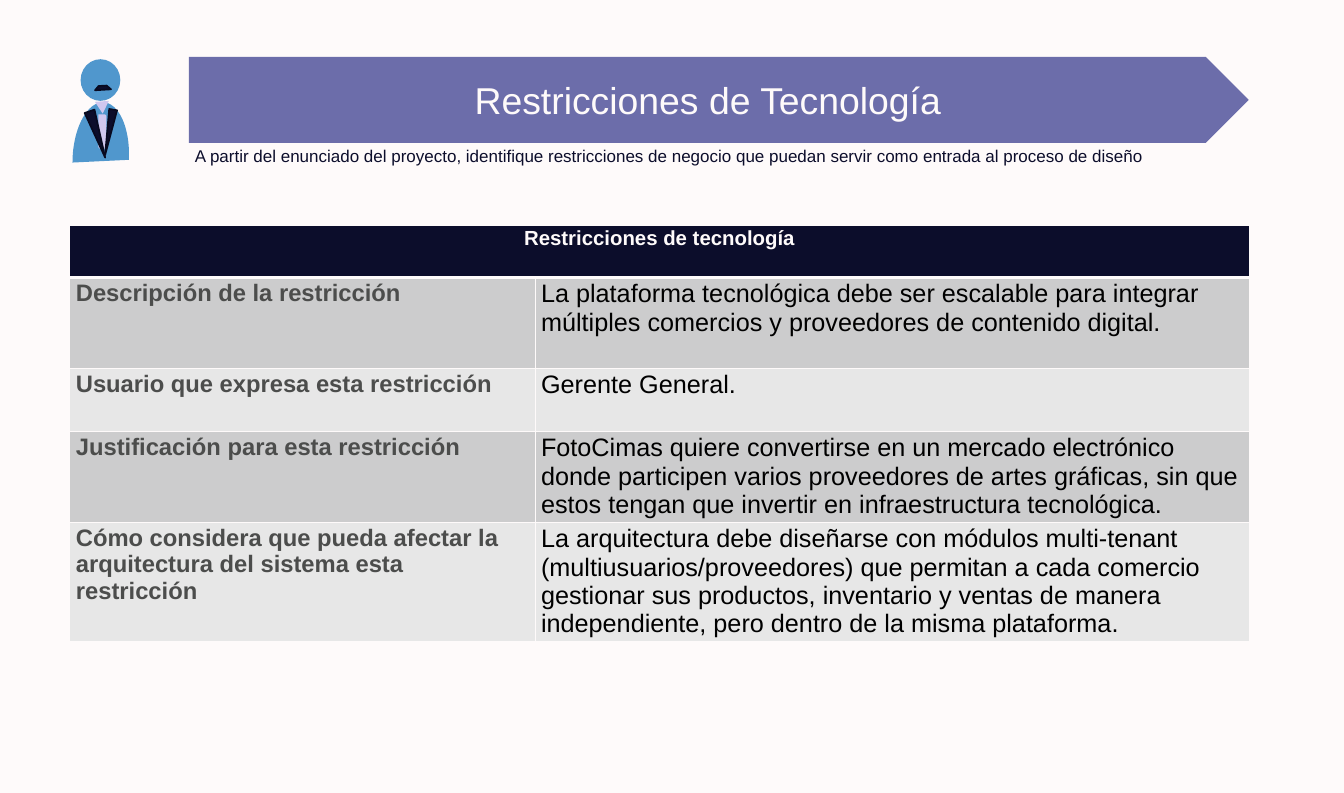
import dataclasses

import lxml.etree
import pptx
import pptx.dml.color
import pptx.enum.shapes
import pptx.enum.text
import pptx.oxml
import pptx.oxml.ns
import pptx.util

Cm = pptx.util.Cm
Pt = pptx.util.Pt
SHAPE = pptx.enum.shapes.MSO_SHAPE
ALIGN = pptx.enum.text.PP_ALIGN
ANCHOR = pptx.enum.text.MSO_ANCHOR
qn = pptx.oxml.ns.qn


@dataclasses.dataclass(frozen=True)
class Theme:
    font: str = "Arial"
    paper: str = "FEFAFA"
    navy: str = "0C0D2B"
    outline: str = "08091F"
    banner: str = "252884"
    banner_alpha: int = 67
    skin: str = "5097CD"
    shirt: str = "D0C7EF"
    label: str = "4C4D4C"
    answer: str = "000000"
    bands: tuple = ("CCCCCD", "E7E7E7")
    title_size: float = 44
    hint_size: float = 20
    header_size: float = 24
    label_size: float = 28
    answer_size: float = 29.7
    rule: float = 0.96
    header_rule: float = 3


THEME = Theme()

RESTRICTION = (
    ("Descripción de la restricción",
     "La plataforma tecnológica debe ser escalable para integrar múltiples "
     "comercios y proveedores de contenido digital."),
    ("Usuario que expresa esta restricción", "Gerente General."),
    ("Justificación para esta restricción",
     "FotoCimas quiere convertirse en un mercado electrónico donde participen "
     "varios proveedores de artes gráficas, sin que estos tengan que invertir "
     "en infraestructura tecnológica."),
    ("Cómo considera que pueda afectar la arquitectura del sistema esta restricción",
     "La arquitectura debe diseñarse con módulos multi-tenant "
     "(multiusuarios/proveedores) que permitan a cada comercio gestionar sus "
     "productos, inventario y ventas de manera independiente, pero dentro de "
     "la misma plataforma."),
)


def rgb(color):
    return pptx.dml.color.RGBColor.from_string(color)


def write(frame, text, size, color, bold=False, align=ALIGN.LEFT):
    frame.word_wrap = True
    paragraph = frame.paragraphs[0]
    paragraph.text = text
    paragraph.alignment = align
    font = paragraph.font
    font.name, font.size, font.bold = THEME.font, Pt(size), bold
    font.color.rgb = rgb(color)


def add_figure(shapes, kind, left, top, width, height, color, line=None):
    figure = shapes.add_shape(kind, Cm(left), Cm(top), Cm(width), Cm(height))
    figure.shadow.inherit = False
    figure.fill.solid()
    figure.fill.fore_color.rgb = rgb(color)
    if line:
        figure.line.color.rgb = rgb(line)
        figure.line.width = Pt(2)
    else:
        figure.line.fill.background()
    return figure


def add_businessman(slide, left, top):
    skin, shirt, navy, outline = THEME.skin, THEME.shirt, THEME.navy, THEME.outline
    parts = (
        # kind, x, y, width, height, rotation, adjustments, fill, line
        (SHAPE.OVAL, 0.33, 0, 1.65, 1.73, 0, (), skin, None),
        (SHAPE.CHORD, -1.17, 2.95, 4.67, 2.34, 92.9, (47.22, 162), skin, None),
        (SHAPE.ISOSCELES_TRIANGLE, 0.94, 1.75, 0.58, 0.51, 176.4, (), shirt, None),
        (SHAPE.SNIP_2_DIAG_RECTANGLE, 1.07, 2.29, 0.33, 1.42, 0, (), shirt, None),
        (SHAPE.ISOSCELES_TRIANGLE, 0.81, 2.11, 0.43, 2.03, 161.4, (), navy, outline),
        (SHAPE.ISOSCELES_TRIANGLE, 1.35, 2.08, 0.33, 1.91, 190, (), navy, outline),
        (SHAPE.DIAGONAL_STRIPE, 1.02, 1.04, 0.48, 0.46, 40.4, (), navy, outline),
    )
    businessman = slide.shapes.add_group_shape()
    for kind, x, y, width, height, rotation, adjustments, color, line in parts:
        part = add_figure(businessman.shapes, kind, left + x, top + y,
                          width, height, color, line)
        part.rotation = rotation
        for index, value in enumerate(adjustments):
            part.adjustments[index] = value


def add_heading(slide, left, top, width, height):
    """Place the arrow banner with the title, and the hint right below it."""
    banner = add_figure(slide.shapes, SHAPE.PENTAGON, left, top, width, height,
                        THEME.banner)
    color = banner.fill._xPr.find(qn("a:solidFill"))[0]
    alpha = lxml.etree.SubElement(color, qn("a:alpha"))
    alpha.set("val", str(THEME.banner_alpha * 1000))

    title = slide.shapes.title
    title.left, title.top = Cm(left), Cm(top)
    title.width, title.height = Cm(width - height / 4), Cm(height)
    title.text_frame.vertical_anchor = ANCHOR.MIDDLE
    write(title.text_frame, "Restricciones de Tecnología",
          THEME.title_size, THEME.paper, align=ALIGN.CENTER)
    slide.shapes._spTree.append(title._element)

    hint = slide.shapes.add_textbox(Cm(left), Cm(top + height), Cm(width), Cm(1.1))
    write(hint.text_frame,
          "A partir del enunciado del proyecto, identifique restricciones de "
          "negocio que puedan servir como entrada al proceso de diseño",
          THEME.hint_size, THEME.navy)


def style_cell(cell, color, top, bottom):
    """Set margins, fill and the four borders; top and bottom are widths."""
    cell.margin_top = cell.margin_bottom = Cm(0.09)
    properties = cell._tc.get_or_add_tcPr()
    for side, width in (("L", THEME.rule), ("R", THEME.rule), ("T", top), ("B", bottom)):
        border = lxml.etree.SubElement(properties, qn(f"a:ln{side}"), w=str(Pt(width)))
        paint = lxml.etree.SubElement(border, qn("a:solidFill"))
        lxml.etree.SubElement(paint, qn("a:srgbClr"), val=THEME.paper)
    cell.fill.solid()
    cell.fill.fore_color.rgb = rgb(color)


def add_restriction_table(slide, left, top, columns, rows):
    table = slide.shapes.add_table(len(rows), len(columns), Cm(left), Cm(top),
                                   Cm(sum(columns)), Cm(sum(rows))).table
    for column, width in zip(table.columns, columns):
        column.width = Cm(width)
    for row, height in zip(table.rows, rows):
        row.height = Cm(height)

    header = table.cell(0, 0)
    header.merge(table.cell(0, len(columns) - 1))
    for cell in table.rows[0].cells:
        style_cell(cell, THEME.navy, THEME.rule, THEME.header_rule)
    write(header.text_frame, "Restricciones de tecnología",
          THEME.header_size, THEME.paper, True, ALIGN.CENTER)

    for index, (label, answer) in enumerate(RESTRICTION):
        label_cell, answer_cell = table.rows[index + 1].cells
        for cell in (label_cell, answer_cell):
            style_cell(cell, THEME.bands[index % 2],
                       THEME.rule if index else THEME.header_rule, THEME.rule)
        write(label_cell.text_frame, label, THEME.label_size, THEME.label, True)
        write(answer_cell.text_frame, answer, THEME.answer_size, THEME.answer)


def main():
    presentation = pptx.Presentation()
    presentation.slide_width, presentation.slide_height = Cm(55.85), Cm(32.94)
    title_only = presentation.slide_layouts[5]
    slide = presentation.slides.add_slide(title_only)
    slide.background.fill.solid()
    slide.background.fill.fore_color.rgb = rgb(THEME.paper)

    add_businessman(slide, 3.02, 2.46)
    add_restriction_table(slide, 2.9, 9.35, columns=(19.33, 29.67),
                          rows=(2.18, 3.78, 2.62, 3.78, 4.95))
    add_heading(slide, 7.85, 2.36, 44.04, 3.58)
    presentation.save("out.pptx")


if __name__ == "__main__":
    main()
